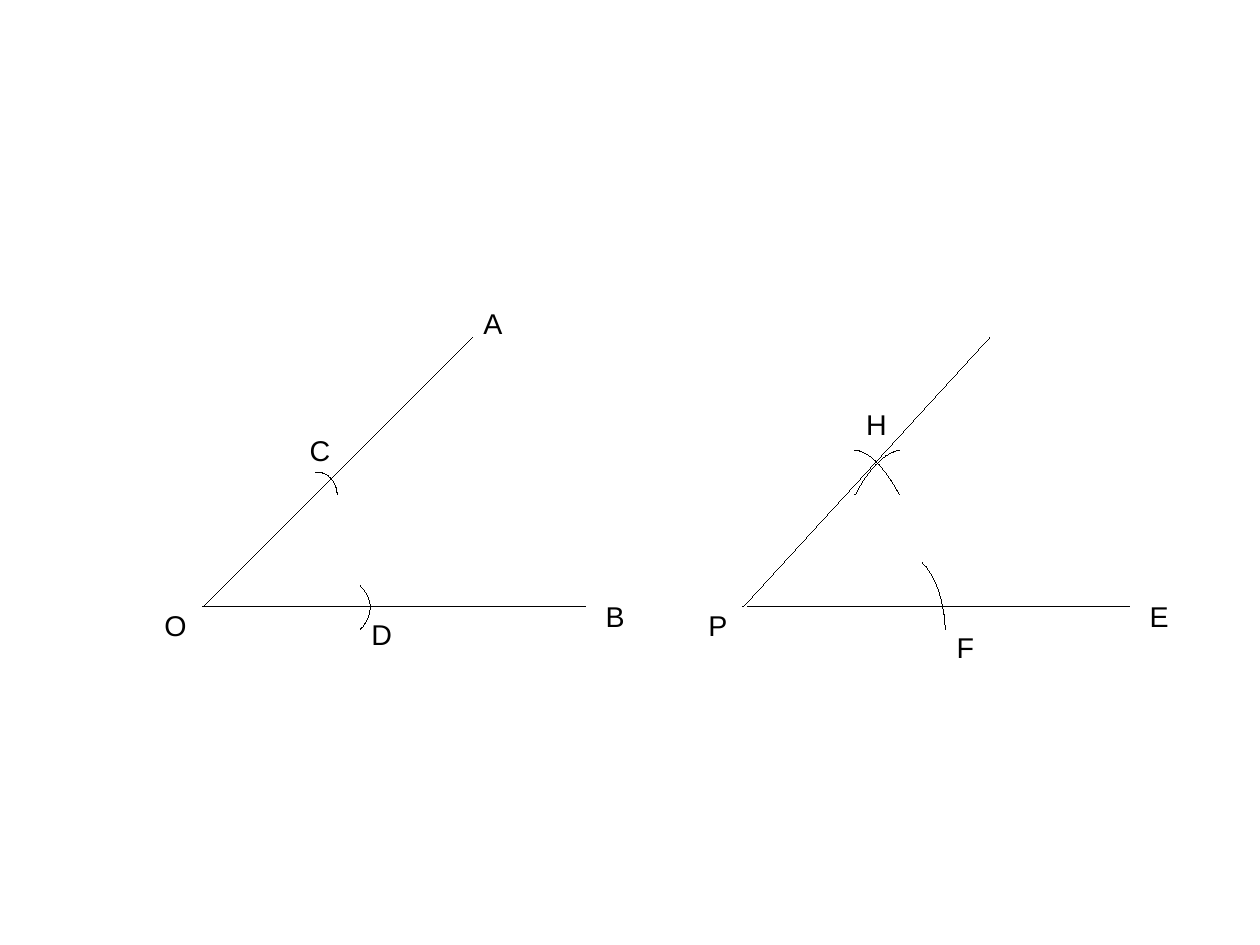
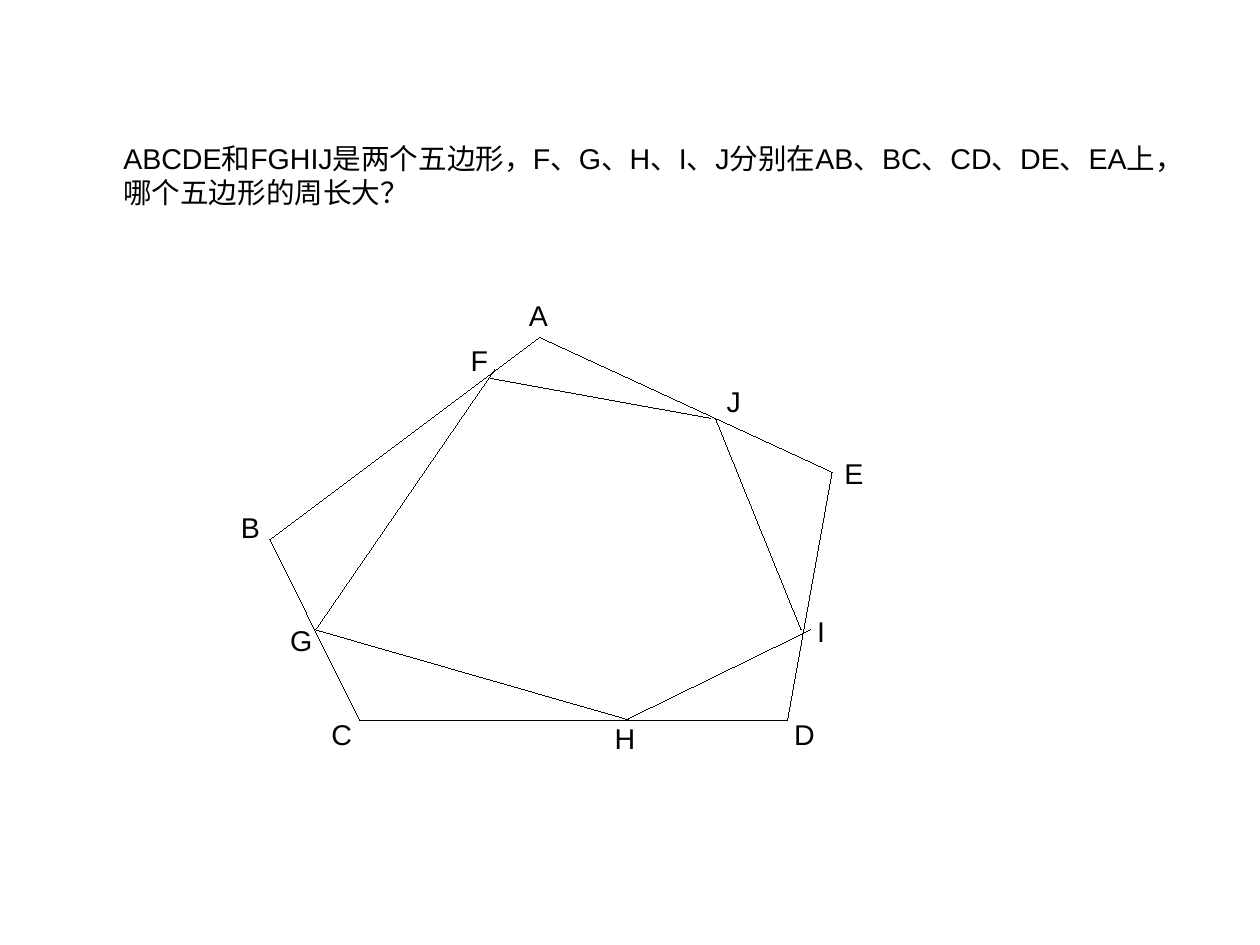
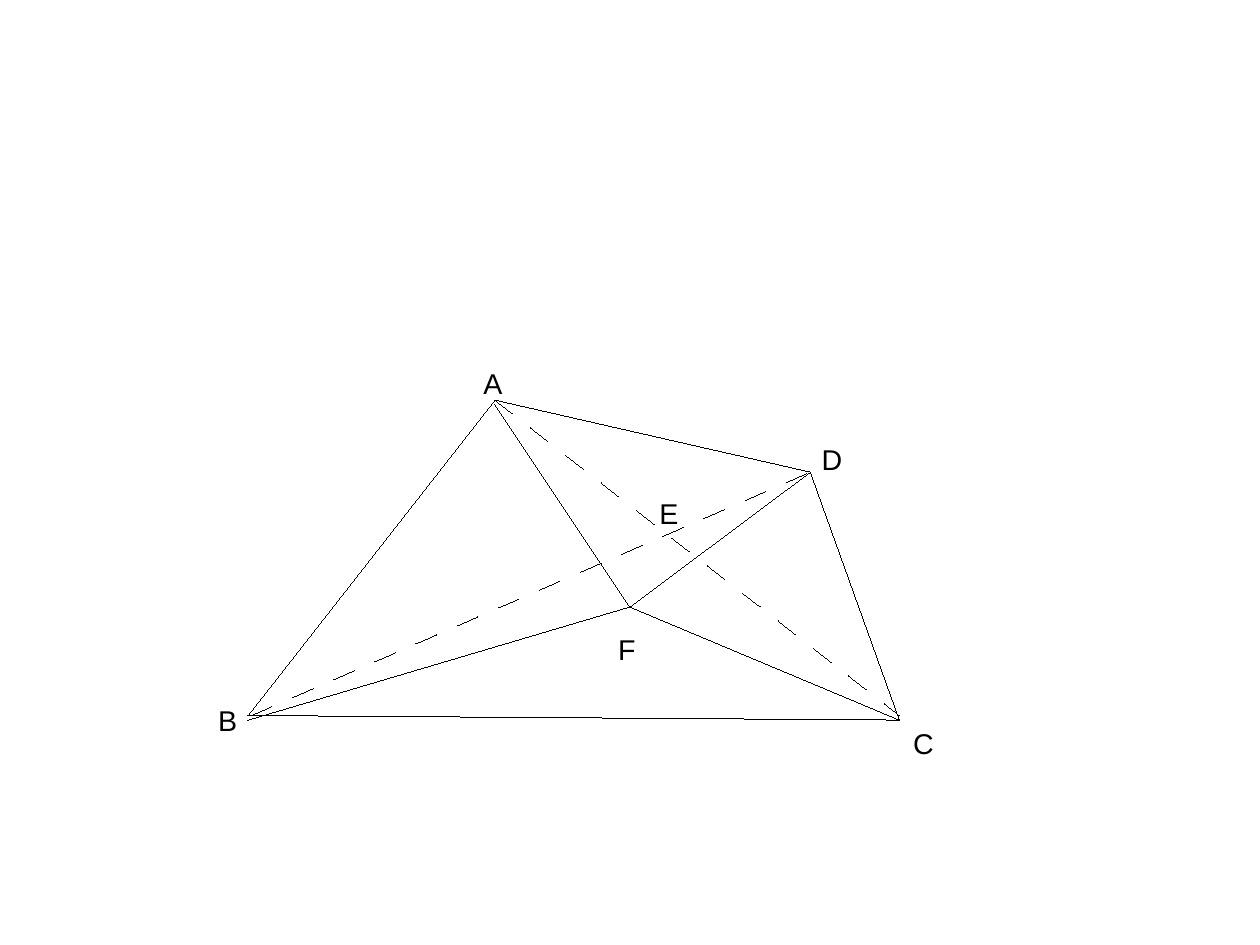
import itertools

import lxml.etree
import pptx
import pptx.dml.color
import pptx.enum.shapes
import pptx.enum.text
import pptx.oxml.ns
import pptx.util
from pptx.util import Inches

COLORS = {"ink": "000000", "paper": "FFFFFF"}
FONT = "Arial"
TEXT_SIZE = 18
CM_PER_INCH = 2.54
LABEL_HEIGHT = 0.38
LABEL_WIDTHS = {"I": 0.27, "J": 0.32, "F": 0.35, "C": 0.38, "D": 0.38,
                "H": 0.38, "G": 0.39, "O": 0.39, "P": 0.39}
DEFAULT_LABEL_WIDTH = 0.36
ARC_STEPS = 16
DASH_PERCENT = 1850


def rgb(name):
    """Return a named colour."""
    return pptx.dml.color.RGBColor.from_string(COLORS[name])


def add_child(parent, tag, **attributes):
    """Append a DrawingML element and return it."""
    return lxml.etree.SubElement(parent, pptx.oxml.ns.qn(tag), attributes)


def style_stroke(shape):
    """Give a shape the shared black hairline, free of the theme's line style."""
    shape.line.color.rgb = rgb("ink")
    shape.line.width = pptx.util.Pt(0)
    element = shape._element
    element.remove(element.find(pptx.oxml.ns.qn("p:style")))


def add_segment(slide, start, end, dashed=False):
    """Draw one straight segment between two points."""
    segment = slide.shapes.add_connector(
        pptx.enum.shapes.MSO_CONNECTOR.STRAIGHT,
        *(Inches(value) for value in (*start, *end)))
    style_stroke(segment)
    if dashed:
        stroke = segment.line._get_or_add_ln()
        pattern = add_child(stroke, "a:custDash")
        length = str(DASH_PERCENT * 1000)
        add_child(pattern, "a:ds", d=length, sp=length)
    add_child(segment._element.spPr, "a:effectLst")


def add_arc(slide, start, control, end):
    """Draw a compass arc that leaves start towards control and stops at end."""
    curve = []
    for step in range(ARC_STEPS + 1):
        t = step / ARC_STEPS
        weights = ((1 - t) ** 3, 3 * t * (1 - t) ** 2, t * t * (3 - 2 * t))
        curve.append(tuple(
            Inches(sum(w * value for w, value in zip(weights, axis)))
            for axis in zip(start, control, end)))
    builder = slide.shapes.build_freeform(*curve[0])
    builder.add_line_segments(curve[1:], close=False)
    arc = builder.convert_to_shape()
    arc.shadow.inherit = False
    arc.fill.background()
    style_stroke(arc)


def add_text(slide, text, left, top, width, height, wrap):
    """Place a text box in the shared text style."""
    box = slide.shapes.add_textbox(*map(Inches, (left, top, width, height)))
    frame = box.text_frame
    frame.word_wrap = wrap
    frame.auto_size = pptx.enum.text.MSO_AUTO_SIZE.SHAPE_TO_FIT_TEXT
    frame.text = text
    font = frame.paragraphs[0].runs[0].font
    font.name = FONT
    font.size = pptx.util.Pt(TEXT_SIZE)
    font.color.rgb = rgb("ink")
    add_child(font._element, "a:ea", typeface=FONT)


def draw_figure(slide, left, top, segments, labels, arcs=(), dashed=()):
    """Draw a lettered figure whose parts are measured from its top left corner."""
    def placed(points):
        return [(left + x, top + y) for x, y in points]

    for segment in segments:
        add_segment(slide, *placed(segment))
    for segment in dashed:
        add_segment(slide, *placed(segment), dashed=True)
    for arc in arcs:
        add_arc(slide, *placed(arc))
    for letter, (x, y) in labels.items():
        width = LABEL_WIDTHS.get(letter, DEFAULT_LABEL_WIDTH)
        add_text(slide, letter, left + x, top + y, width, LABEL_HEIGHT, False)


def outline(*corners):
    """Return the sides of a closed polygon."""
    return list(itertools.pairwise((*corners, corners[0])))


def draw_angle_copy(slide):
    """Draw the given angle and its compass construction."""
    o, a, b = (0, 2.36), (2.36, 0), (3.35, 2.36)
    draw_figure(
        slide, 1.77, 2.95, [(a, o), (o, b)],
        {"A": (2.36, -0.32), "O": (-0.43, 2.32), "B": (3.43, 2.24),
         "C": (0.84, 0.79), "D": (1.38, 2.4)},
        arcs=[((0.99, 1.18), (1.18, 1.18), (1.18, 1.38)),
              ((1.38, 2.17), (1.58, 2.36), (1.38, 2.56))])
    draw_figure(
        slide, 6.5, 2.95,
        [((0.04, 2.36), (3.38, 2.36)), ((0, 2.36), (2.16, 0))],
        {"P": (-0.4, 2.32), "E": (3.46, 2.24), "F": (1.77, 2.51),
         "H": (0.98, 0.56)},
        arcs=[((0.98, 0.99), (1.18, 0.99), (1.37, 1.38)),
              ((0.98, 1.38), (1.18, 0.99), (1.37, 0.99)),
              ((1.57, 1.97), (1.77, 2.17), (1.77, 2.56))])


def draw_pentagons(slide):
    """Draw the question and the two nested pentagons."""
    add_text(slide, "ABCDE和FGHIJ是两个五边形，F、G、H、I、J分别在AB、BC、CD、DE、EA上，"
             "哪个五边形的周长大？", 0.98, 1.18, 9.25, 1.1, True)
    a, b, c, d, e = (2.36, 0), (0, 1.77), (0.79, 3.35), (4.53, 3.35), (4.92, 1.18)
    g = (0.4, 2.56)
    inner = [((1.97, 0.28), g), (g, (3.15, 3.35)),
             ((3.11, 3.35), (4.73, 2.56)), ((4.65, 2.56), (3.9, 0.71)),
             ((3.86, 0.71), (1.93, 0.36))]
    draw_figure(
        slide, 2.36, 2.95, outline(a, b, c, d, e) + inner,
        {"A": (2.17, -0.39), "B": (-0.35, 1.46), "C": (0.44, 3.27),
         "D": (4.49, 3.27), "E": (4.93, 0.99), "F": (1.66, 0),
         "G": (0.08, 2.45), "H": (2.92, 3.31), "I": (4.69, 2.37),
         "J": (3.9, 0.36)})


def draw_quadrilateral(slide):
    """Draw the quadrilateral with dashed diagonals and an inner point."""
    a, b, c, d, f = (2.16, 0), (0, 2.76), (5.7, 2.8), (4.92, 0.63), (3.34, 1.81)
    spokes = [(f, end) for end in ((2.16, 0.04), (0, 2.8), c, d)]
    draw_figure(
        slide, 2.17, 3.5, outline(a, b, c, d) + spokes,
        {"A": (1.96, -0.35), "B": (-0.36, 2.6), "C": (5.72, 2.8),
         "D": (4.92, 0.32), "E": (3.5, 0.79), "F": (3.14, 1.98)},
        dashed=[(a, (5.7, 2.76)), ((0.03, 2.76), d)])


def main():
    """Build the three geometry slides."""
    deck = pptx.Presentation()
    deck.slide_width = Inches(28 / CM_PER_INCH)
    deck.slide_height = Inches(21 / CM_PER_INCH)
    for draw in (draw_angle_copy, draw_pentagons, draw_quadrilateral):
        slide = deck.slides.add_slide(deck.slide_layouts[6])
        slide.background.fill.solid()
        slide.background.fill.fore_color.rgb = rgb("paper")
        draw(slide)
    deck.save("out.pptx")


if __name__ == "__main__":
    main()
